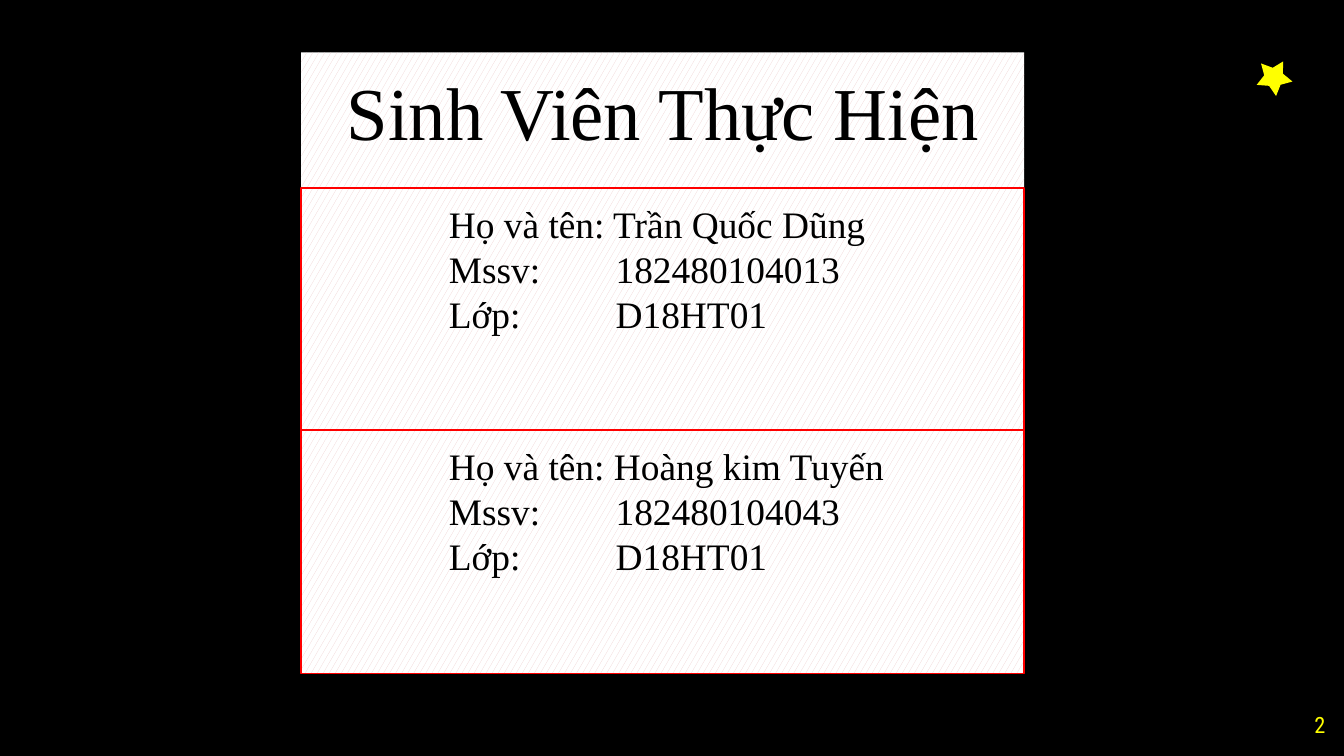
"""Build the slide that lists the students of the project."""
from lxml import etree
from pptx import Presentation
from pptx.dml.color import RGBColor
from pptx.enum import dml, shapes, text
from pptx.oxml.ns import qn
from pptx.util import Inches, Pt

BLACK = RGBColor(0, 0, 0)
WHITE = RGBColor(255, 255, 255)
ROSE = RGBColor(0xEF, 0xD1, 0xD1)
RED = RGBColor(255, 0, 0)
YELLOW = RGBColor(255, 255, 0)
SERIF = "Times New Roman"

TITLE = "Sinh Viên Thực Hiện"
STUDENTS = [
    ("Họ và tên: Trần Quốc Dũng", "Mssv:\t182480104013", "Lớp:\tD18HT01"),
    ("Họ và tên: Hoàng kim Tuyến", "Mssv:\t182480104043", "Lớp:\tD18HT01"),
]
LEFT, TOP, WIDTH = 2.24, 0.39, 5.38
HEAD, CARD, STEP = 1.01, 1.81, 1.8
TAB = 1.24


def place(shape, *box):
    for name, value in zip(("left", "top", "width", "height"), box):
        setattr(shape, name, Inches(value))


def hatch(shape):
    fill = shape.fill
    fill.patterned()
    fill.pattern = dml.MSO_PATTERN.LARGE_CONFETTI
    fill.fore_color.rgb = ROSE
    fill.back_color.rgb = WHITE


def write(shape, lines, size, color=BLACK, face=SERIF, align="LEFT", before=0, inset=0.1):
    frame = shape.text_frame
    form = dict(word_wrap=True, auto_size=text.MSO_AUTO_SIZE.NONE,
                vertical_anchor=text.MSO_ANCHOR.TOP, margin_left=Inches(inset),
                margin_top=Inches(0.1), margin_right=Inches(0.1),
                margin_bottom=Inches(0.1))
    for name, value in form.items():
        setattr(frame, name, value)
    frame.text = "\n".join(lines)
    for para in frame.paragraphs:
        para.alignment = getattr(text.PP_ALIGN, align)
        para.space_before = Pt(before)
        for run in para.runs:
            for name, value in dict(size=Pt(size), name=face).items():
                setattr(run.font, name, value)
            run.font.color.rgb = color
    return frame


def set_tab(para):
    stops = etree.SubElement(para._p.get_or_add_pPr(), qn("a:tabLst"))
    etree.SubElement(stops, qn("a:tab"), pos=str(Inches(TAB)), algn="l")


deck = Presentation()
deck.slide_width, deck.slide_height = Inches(10), Inches(5.625)
slide = deck.slides.add_slide(deck.slide_layouts[5])
slide.background.fill.solid()
slide.background.fill.fore_color.rgb = BLACK

title = slide.shapes.title
place(title, LEFT, TOP, WIDTH, HEAD)
hatch(title)
write(title, [TITLE], 40, align="CENTER", before=6)

star = slide.shapes.add_shape(shapes.MSO_SHAPE.STAR_5_POINT, 0, 0, 0, 0)
place(star, 9.35, 0.44, 0.27, 0.25)
star.rotation = 30
star.adjustments[0] = 0.26
star.shadow.inherit = False
star.fill.solid()
star.fill.fore_color.rgb = YELLOW
star.line.fill.background()

number = slide.shapes.add_textbox(0, 0, 0, 0)
place(number, 9.36, 5.19, 0.6, 0.43)
write(number, ["2"], 12, YELLOW, "Roboto Condensed", "RIGHT")

for row, lines in enumerate(STUDENTS):
    card = slide.shapes.add_shape(shapes.MSO_SHAPE.RECTANGLE, 0, 0, 0, 0)
    place(card, LEFT, TOP + HEAD + row * STEP, WIDTH, CARD)
    card.shadow.inherit = False
    hatch(card)
    card.line.color.rgb = RED
    card.line.width = Pt(0.75)
    frame = write(card, lines, 20, inset=1.1)
    for para in frame.paragraphs[1:]:
        set_tab(para)

deck.save("out.pptx")
